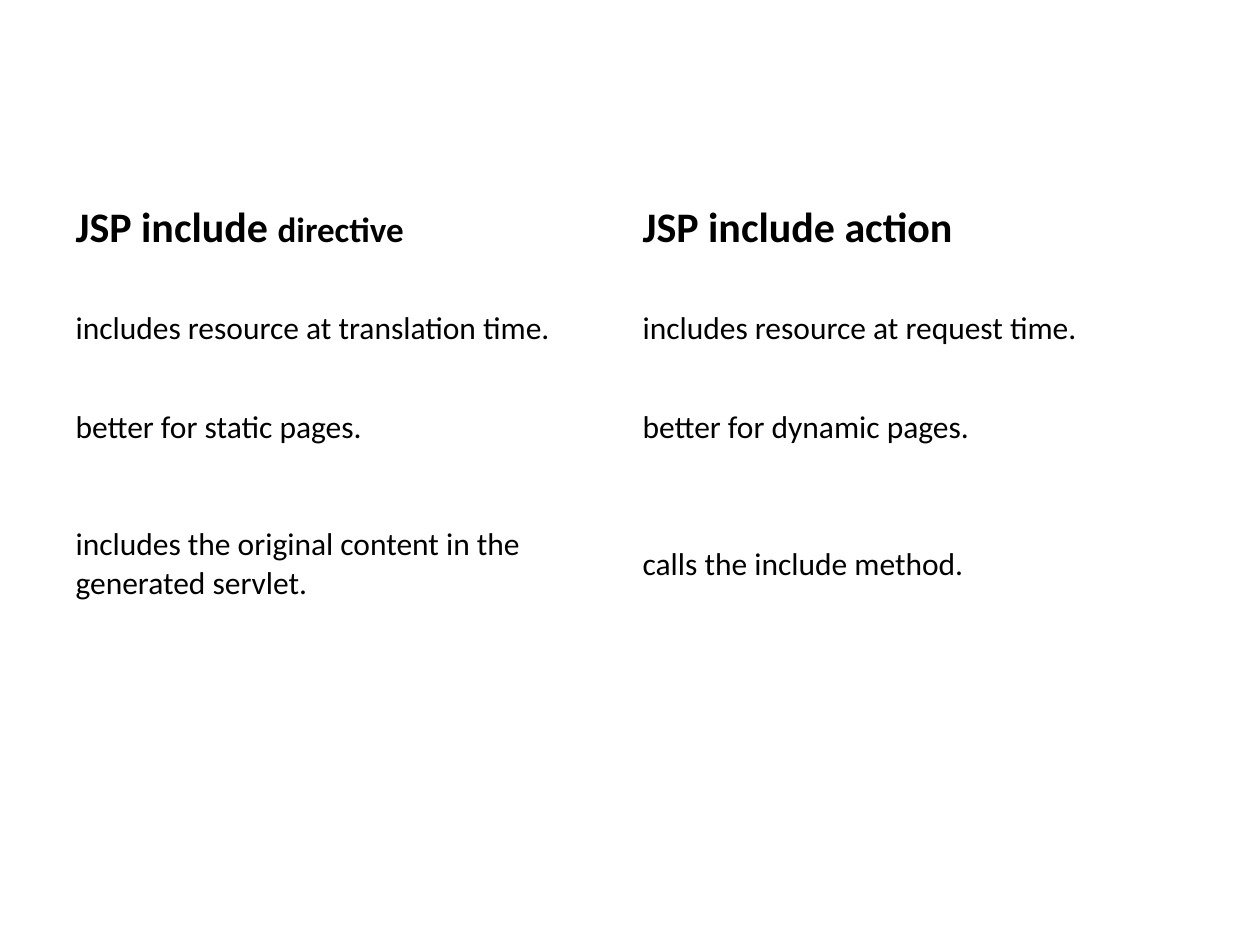
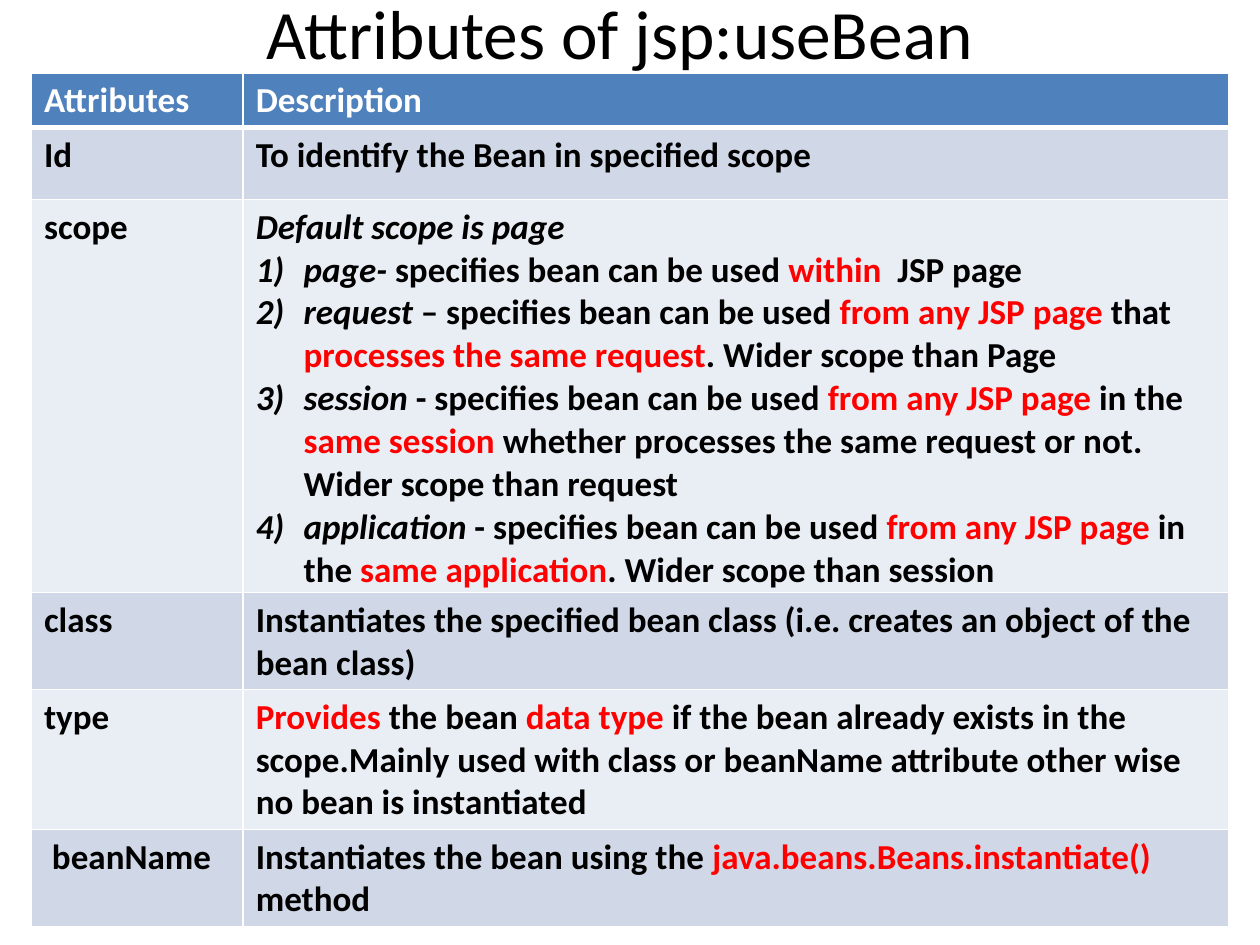
from lxml import etree
from pptx import Presentation
from pptx.dml.color import RGBColor
from pptx.enum.text import MSO_ANCHOR, PP_ALIGN
from pptx.oxml.ns import qn
from pptx.util import Inches, Pt

MID, TOP, MID_X = MSO_ANCHOR.MIDDLE, MSO_ANCHOR.TOP, PP_ALIGN.CENTER
FONT = "Calibri"
PLAIN = "{2D5ABB26-0587-4C30-8999-92F81FD0307C}"
WIDE, HIGH = 10, 7.5
HUES = {"ink": "000000", "paper": "FFFFFF", "red": "FF0000",
        "head": "4F81BD", "odd": "D0D8E8", "even": "E9EDF4"}

PAIRS = [
    ([("JSP include ", 24), ("directive", 20)], [("JSP include action", 24)]),
    ("includes resource at translation time.", "includes resource at request time."),
    ("better for static pages.", "better for dynamic pages."),
    ("includes the original content in the generated servlet.",
     "calls the include method."),
]

TITLE = "Attributes of jsp:useBean"
USED = " specifies bean can be used "
ANY = ("from any JSP page", "r")
SCOPES = [
    [("Default scope is page", "i")],
    [("page-", "i"), (USED, ""), ("within", "r"), ("  JSP page", "")],
    [("request", "i"), (" –" + USED, ""), ANY, (" that ", ""),
     ("processes the same request", "r"), (". Wider scope than Page", "")],
    [("session", "i"), (" -" + USED, ""), ANY, (" in the ", ""), ("same session ", "r"),
     ("whether processes the same request or not. Wider scope than request", "")],
    [("application", "i"), (" -" + USED, ""), ANY, (" in the ", ""),
     ("same application", "r"), (". Wider scope than session", "")],
]
BEANS = [
    ("Attributes", [[("Description", "")]]),
    ("Id", [[("To identify the Bean in specified scope", "")]]),
    ("scope", SCOPES),
    ("class", [[("Instantiates the specified bean class (i.e. creates an object "
                 "of the bean class)", "")]]),
    ("type", [[("Provides", "r"), (" the bean ", ""), ("data type ", "r"),
               ("if the bean already exists in the scope.Mainly used with class or "
                "beanName attribute other wise no bean is instantiated", "")]]),
    (" beanName", [[("Instantiates the bean using the ", ""),
                    ("java.beans.Beans.instantiate() ", "r"), ("method", "")]]),
]


def color(name):
    return RGBColor.from_string(HUES[name])


def write(para, text, size, hue="ink", bold=False, slant=False):
    run = para.add_run()
    run.text = text
    font = run.font
    font.name, font.size = FONT, Pt(size)
    font.bold, font.italic = bold, slant
    font.color.rgb = color(hue)


def grid(slide, left, top, cols, rows):
    frame = slide.shapes.add_table(len(rows), len(cols), Inches(left), Inches(top),
                                   Inches(sum(cols)), Inches(sum(rows)))
    table = frame.table
    frame._element.find(".//" + qn("a:tableStyleId")).text = PLAIN
    for col, width in zip(table.columns, cols):
        col.width = Inches(width)
    for row, height in zip(table.rows, rows):
        row.height = Inches(height)
    return table


def edge(cell, sides):
    props = cell._tc.get_or_add_tcPr()
    for spot, (side, width) in enumerate(sides.items()):
        line = etree.Element(qn("a:ln" + side), w=str(Pt(width)))
        fill = etree.SubElement(line, qn("a:solidFill"))
        etree.SubElement(fill, qn("a:srgbClr"), val=HUES["paper"])
        props.insert(spot, line)


def number(para):
    props = para._p.get_or_add_pPr()
    props.set("marL", str(Inches(0.38)))
    props.set("indent", str(-Inches(0.38)))
    etree.SubElement(props, qn("a:buFont"), typeface="+mj-lt")
    etree.SubElement(props, qn("a:buAutoNum"), type="arabicParenR")


def compare(slide):
    side = 0.05 * WIDE
    half = WIDE / 2 - side
    table = grid(slide, side, 1.42, [half] * 2, [0.79] * 3 + [1.38])
    for r, pair in enumerate(PAIRS):
        for c, item in enumerate(pair):
            cell = table.cell(r, c)
            cell.fill.background()
            cell.vertical_anchor = MID
            parts = [(item, 18)] if r else item
            for text, size in parts:
                write(cell.text_frame.paragraphs[0], text, size, bold=r == 0)


def describe(slide):
    box = slide.shapes.add_textbox(Inches(0.42), 0, Inches(0.9 * WIDE), Inches(HIGH / 15))
    frame = box.text_frame
    frame.word_wrap, frame.vertical_anchor = True, MID
    head = frame.paragraphs[0]
    head.alignment = MID_X
    write(head, TITLE, 39.6)
    table = grid(slide, 0.25, 0.58, [1.68, 7.82], [0.42, 0.57, 3.12, 0.77, 1.11, 0.77])
    for r, (name, lines) in enumerate(BEANS):
        band = ("odd" if r % 2 else "even") if r else "head"
        ink = "ink" if r else "paper"
        for c, paras in enumerate(([[(name, "")]], lines)):
            cell = table.cell(r, c)
            cell.vertical_anchor = TOP
            cell.fill.solid()
            cell.fill.fore_color.rgb = color(band)
            edge(cell, {"L": 1, "R": 1, "T": 3 if r == 1 else 1, "B": 1 if r else 3})
            body = cell.text_frame
            for n, parts in enumerate(paras):
                para = body.add_paragraph() if n else body.paragraphs[0]
                if n:
                    number(para)
                for text, mark in parts:
                    write(para, text, 20, "red" if mark == "r" else ink, True, mark == "i")


deck = Presentation()
deck.slide_width, deck.slide_height = Inches(WIDE), Inches(HIGH)
for build in (compare, describe):
    build(deck.slides.add_slide(deck.slide_layouts[6]))
deck.save("out.pptx")
